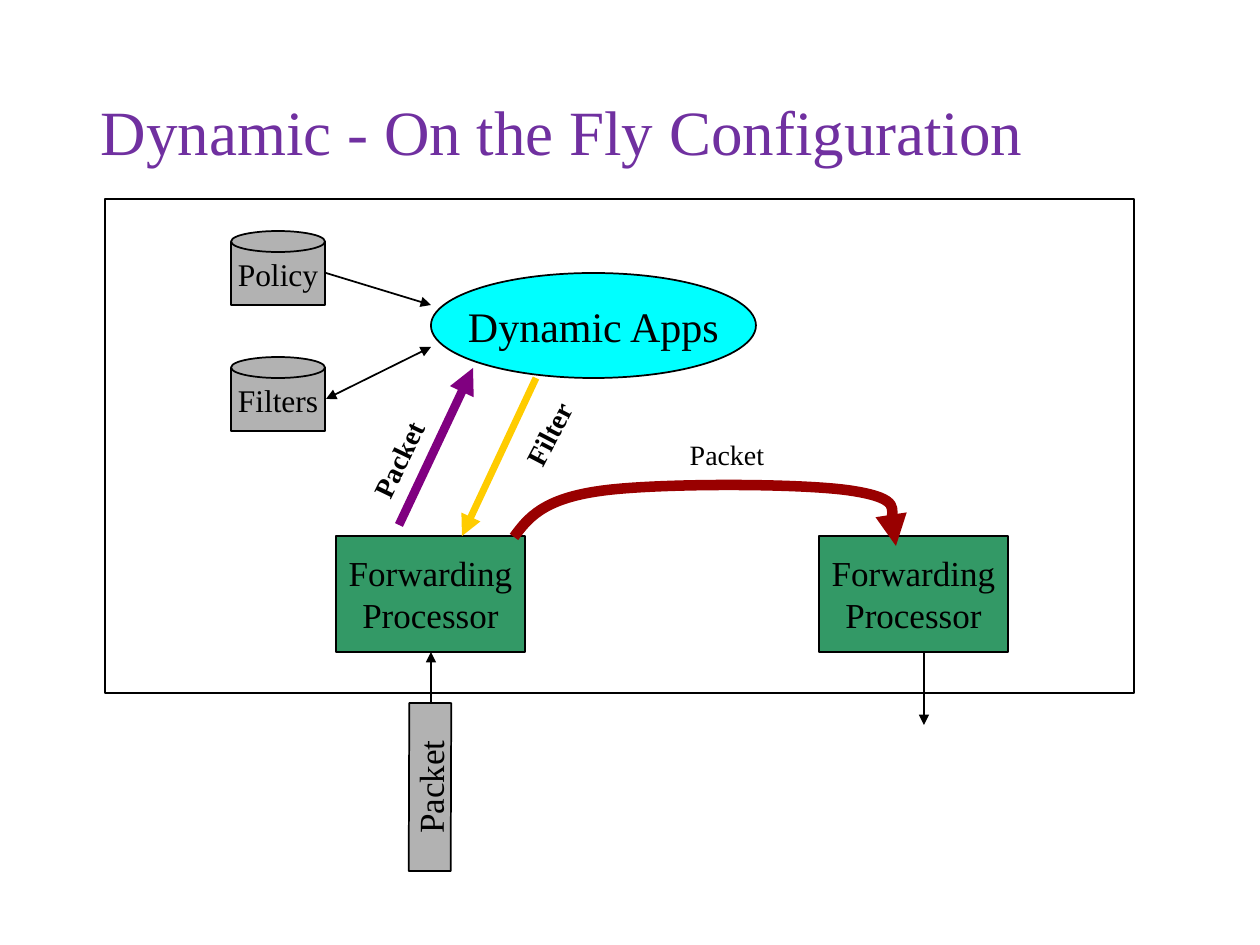
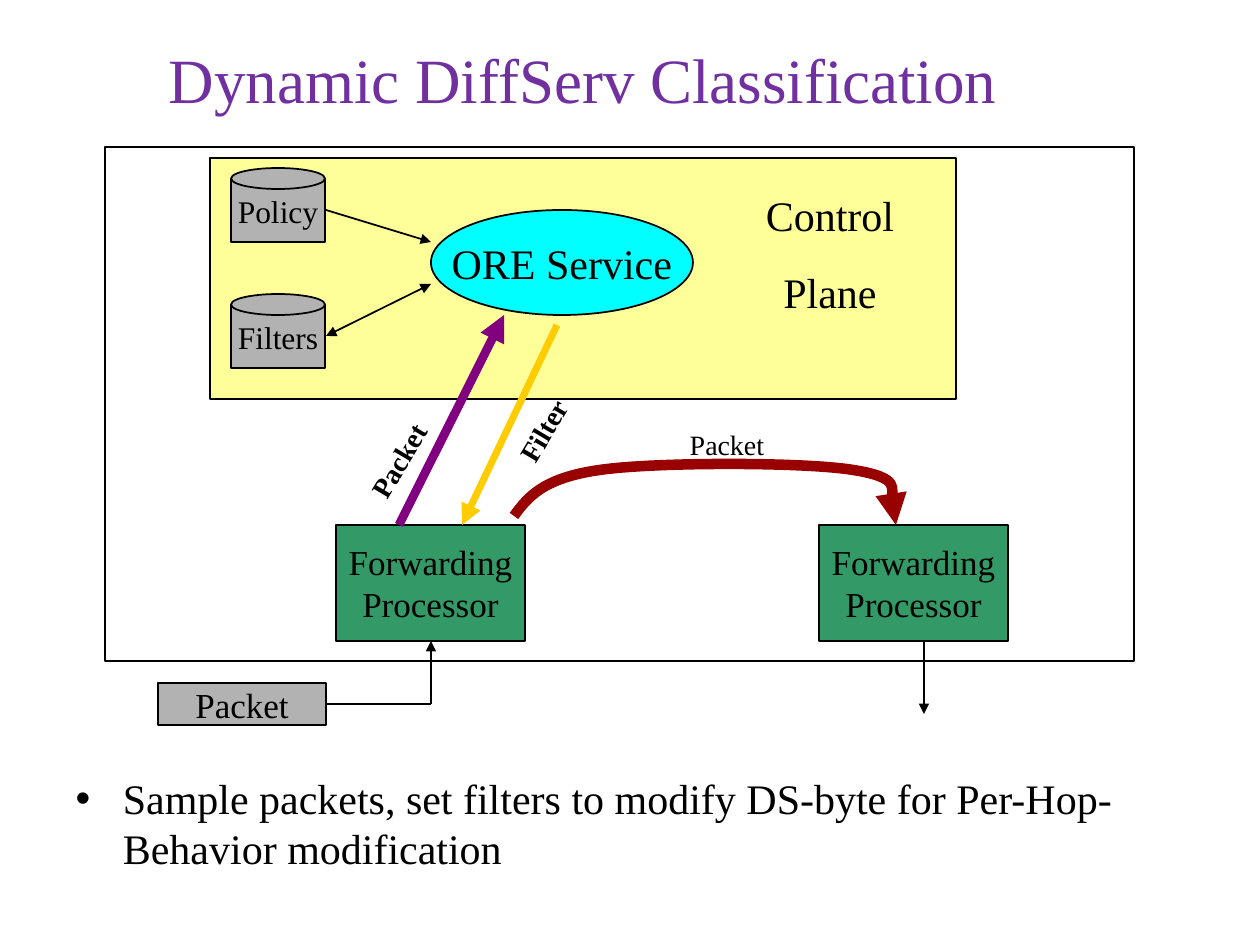
import pptx
import pptx.util
import pptx.dml.color
import pptx.enum.shapes
import pptx.enum.text
import pptx.oxml.ns
import lxml.etree

SCALE = 914400 / 126
FONT = "Times New Roman"
BLACK, PURPLE, GREY, GREEN = "000000", "7030A0", "B2B2B2", "339966"
CYAN, YELLOW, PLUM, GOLD, RED = "00FFFF", "FFFF99", "800080", "FFCC00", "990000"
RECTANGLE = pptx.enum.shapes.MSO_SHAPE.RECTANGLE
OVAL = pptx.enum.shapes.MSO_SHAPE.OVAL
CENTER = pptx.enum.text.PP_ALIGN.CENTER
MIDDLE = pptx.enum.text.MSO_ANCHOR.MIDDLE
BOTTOM = pptx.enum.text.MSO_ANCHOR.BOTTOM
BEND_POINTS = [(0, 54), (14, 35), (29, 16), (86, 8), (141, 0), (290, 0), (339, 8),
               (389, 16), (374, 45), (382, 54), (389, 63), (385, 63), (382, 63)]


def emu(*lengths):
    """Turn px lengths into EMU."""
    return [pptx.util.Emu(round(length * SCALE)) for length in lengths]


def color(value):
    """Turn a hex string into a colour."""
    return pptx.dml.color.RGBColor.from_string(value)


def write(shape, lines, size, ink=BLACK, bold=False, align=CENTER, anchor=MIDDLE,
          wrap=False, gap=0):
    """Write one paragraph per line into a shape."""
    frame = shape.text_frame
    frame.word_wrap = wrap
    frame.auto_size = pptx.enum.text.MSO_AUTO_SIZE.NONE
    frame.vertical_anchor = anchor
    for index, line in enumerate(lines):
        para = frame.add_paragraph() if index else frame.paragraphs[0]
        para.alignment = align
        para.space_before = pptx.util.Pt(gap if index else 0)
        span = para.add_run()
        span.text = line
        span.font.name = FONT
        span.font.size = pptx.util.Pt(size)
        span.font.bold = bold
        span.font.color.rgb = color(ink)


def move(shape, box):
    """Place a shape at a box given in px."""
    shape.left, shape.top, shape.width, shape.height = emu(*box)


def add_block(shapes, kind, box, fill=None, weight=1.0, lines=(), size=20):
    """Add an outlined preset shape with optional fill and text."""
    block = shapes.add_shape(kind, *emu(*box))
    block.shadow.inherit = False
    if fill:
        block.fill.solid()
        block.fill.fore_color.rgb = color(fill)
    else:
        block.fill.background()
    block.line.color.rgb = color(BLACK)
    block.line.width = pptx.util.Pt(weight)
    write(block, lines, size)
    return block


def add_label(page, box, lines, size=16, turn=0, bold=False, gap=0):
    """Add a centred text box, turned if asked."""
    label = page.shapes.add_textbox(*emu(*box))
    label.rotation = turn
    write(label, lines, size, bold=bold, wrap=bool(turn), gap=gap)


def add_ends(shape, ends):
    """Put triangle arrowheads on the named ends of a line."""
    outline = shape.element.spPr.find(pptx.oxml.ns.qn("a:ln"))
    for end in ends:
        head = lxml.etree.SubElement(outline, pptx.oxml.ns.qn("a:" + end))
        head.set("type", "triangle")


def add_arrow(page, start, finish, ends=("tailEnd",), ink=BLACK, weight=1):
    """Draw a straight line between two points."""
    arrow = page.shapes.add_connector(
        pptx.enum.shapes.MSO_CONNECTOR.STRAIGHT, *emu(*start, *finish))
    arrow.line.color.rgb = color(ink)
    arrow.line.width = pptx.util.Pt(weight)
    add_ends(arrow, ends)
    lxml.etree.SubElement(arrow.element.spPr, pptx.oxml.ns.qn("a:effectLst"))


def add_bend(page, left, top):
    """Draw the curved arrow between the two processors."""
    points = [emu(left + x, top + y) for x, y in BEND_POINTS]
    builder = page.shapes.build_freeform(*points[0])
    builder.add_line_segments(points[1:], close=False)
    bend = builder.convert_to_shape()
    outline = next(bend.element.iter(pptx.oxml.ns.qn("a:path")))
    segments = outline.findall(pptx.oxml.ns.qn("a:lnTo"))
    for first in range(0, len(segments), 3):
        curve = lxml.etree.SubElement(outline, pptx.oxml.ns.qn("a:cubicBezTo"))
        for segment in segments[first:first + 3]:
            curve.append(segment[0])
            outline.remove(segment)
    bend.shadow.inherit = False
    bend.fill.background()
    bend.line.color.rgb = color(RED)
    bend.line.width = pptx.util.Pt(6)
    add_ends(bend, ["tailEnd"])


def add_store(page, left, top, name):
    """Draw a data store as a grouped box and lid."""
    group = page.shapes.add_group_shape()
    add_block(group.shapes, RECTANGLE, (left, top + 11, 94, 63), GREY,
              lines=[name], size=18)
    add_block(group.shapes, OVAL, (left, top, 94, 21), GREY)


def add_control(page, left, top, service, width):
    """Draw the stores feeding the service ellipse."""
    add_store(page, left, top, "Policy")
    add_store(page, left, top + 126, "Filters")
    add_arrow(page, (left + 95, top + 42), (left + 200, top + 74))
    add_arrow(page, (left + 95, top + 168), (left + 200, top + 116),
              ("headEnd", "tailEnd"))
    add_block(page.shapes, OVAL, (left + 200, top + 42, width, 105), CYAN,
              lines=[service], size=24)


def add_forwarding(page, left, top, bend_rise, entry):
    """Draw both processors with the packet path through them."""
    for offset in (0, 483):
        add_block(page.shapes, RECTANGLE, (left + offset, top, 189, 116), GREEN,
                  0.75, ["Forwarding", "Processor"])
    add_arrow(page, (left + 95, top + 116), (left + 95, top + 116 + entry), ["headEnd"])
    add_arrow(page, (left + 588, top + 116), (left + 588, top + 189))
    add_bend(page, left + 178, top - bend_rise)


def add_exchange(page, packet, answer):
    """Draw the packet and filter arrows between the planes."""
    add_arrow(page, *packet, ink=PLUM, weight=5)
    add_arrow(page, *answer, ink=GOLD, weight=4)


def start_page(deck, layout, title, box):
    """Add a slide with its title in place."""
    page = deck.slides.add_slide(deck.slide_layouts[layout])
    heading = page.shapes.title
    move(heading, box)
    write(heading, [title], 36, PURPLE, anchor=BOTTOM, wrap=True)
    frame = heading.text_frame
    frame.margin_left, frame.margin_right, frame.margin_top, frame.margin_bottom = emu(6, 6, 6, 6)
    frame.paragraphs[0].line_spacing = 0.93
    return page


def build_configuration(deck):
    """Build the slide on configuration on the fly."""
    page = start_page(deck, 5, "Dynamic - On the Fly Configuration", (21, 84, 1082, 92))
    add_block(page.shapes, RECTANGLE, (105, 199, 1029, 494), weight=0.75)
    add_forwarding(page, 336, 536, 53, 73)
    add_exchange(page, ((399, 525), (473, 368)), ((536, 378), (462, 536)))
    packet = add_block(page.shapes, RECTANGLE, (346, 766, 168, 42), GREY, lines=["Packet"])
    packet.rotation = 270.2
    add_control(page, 231, 231, "Dynamic Apps", 325)
    add_label(page, (677, 432, 100, 45), ["Packet"])
    add_label(page, (335, 437, 126, 45), ["Packet"], turn=295.7, bold=True)
    add_label(page, (498, 411, 101, 45), ["Filter"], turn=297.5, bold=True)


def build_classification(deck):
    """Build the slide on DiffServ classification."""
    page = start_page(deck, 1, "Dynamic DiffServ Classification", (42, 32, 1082, 92))
    add_block(page.shapes, RECTANGLE, (210, 158, 746, 241), YELLOW)
    add_block(page.shapes, RECTANGLE, (105, 147, 1029, 514), weight=0.75)
    add_forwarding(page, 336, 525, 63, 63)
    add_exchange(page, ((399, 525), (504, 315)), ((557, 325), (462, 525)))
    add_control(page, 231, 168, "ORE Service", 262)
    add_label(page, (677, 422, 100, 45), ["Packet"])
    add_label(page, (335, 438, 126, 45), ["Packet"], turn=300.7, bold=True)
    add_label(page, (485, 408, 116, 45), ["Filter"], turn=300.6, bold=True)
    add_arrow(page, (431, 704), (273, 704), [])
    add_block(page.shapes, RECTANGLE, (158, 683, 168, 42), GREY, lines=["Packet"])
    add_label(page, (753, 183, 154, 140), ["Control", "Plane"], size=24, gap=15)
    body = page.placeholders[1]
    move(body, (63, 766, 1124, 87))
    write(body, ["Sample packets, set filters to modify DS-byte for Per-Hop-Behavior modification"],
          24, align=pptx.enum.text.PP_ALIGN.LEFT,
          anchor=pptx.enum.text.MSO_ANCHOR.TOP, wrap=True)


def main():
    """Build and save the deck."""
    deck = pptx.Presentation()
    deck.slide_width, deck.slide_height = emu(1260, 945)
    build_configuration(deck)
    build_classification(deck)
    deck.save("out.pptx")


if __name__ == "__main__":
    main()
